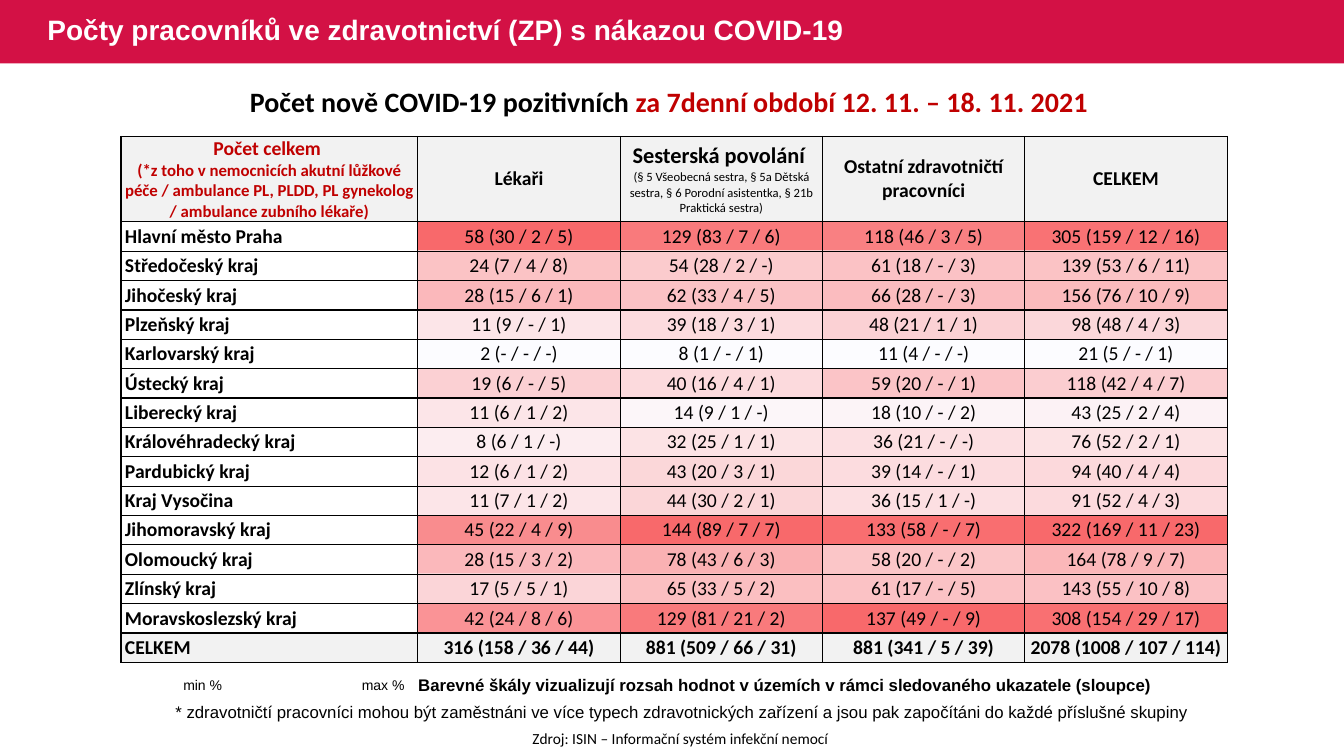
import math

import lxml.etree
import pptx
import pptx.dml.color
import pptx.enum.shapes
import pptx.enum.text
import pptx.oxml.ns
import pptx.util

Cm = pptx.util.Cm
Pt = pptx.util.Pt
RGBColor = pptx.dml.color.RGBColor
ALIGN = pptx.enum.text.PP_ALIGN
MIDDLE = pptx.enum.text.MSO_ANCHOR.MIDDLE
PLAIN_TABLE_STYLE = "{2D5ABB26-0587-4C30-8999-92F81FD0307C}"

CRIMSON = RGBColor(0xD3, 0x11, 0x45)
DARK_RED = RGBColor(0xC0, 0x00, 0x00)
BLACK = RGBColor(0x00, 0x00, 0x00)
WHITE = RGBColor(0xFF, 0xFF, 0xFF)
LIGHT_GREY = RGBColor(0xF2, 0xF2, 0xF2)
SCALE_MIN = RGBColor(0xFC, 0xFC, 0xFF)
SCALE_MAX = RGBColor(0xF8, 0x69, 0x6B)

REGION_WIDTH = 7.48
COUNT_WIDTH = 5.1
HEADER_HEIGHT = 2.13
ROW_HEIGHT = 0.74
TABLE_LEFT = 3.05
TABLE_TOP = 3.44

HEADERS = [
    [("Počet celkem ", 14, True, DARK_RED),
     ("(*z toho v nemocnicích akutní lůžkové péče / ambulance PL, PLDD, PL gynekolog "
      "/ ambulance zubního lékaře)", 12, True, DARK_RED)],
    [("Lékaři", 14, True, BLACK)],
    [("Sesterská povolání ", 16, True, BLACK),
     ("(§ 5 Všeobecná sestra, § 5a Dětská sestra, § 6 Porodní asistentka, "
      "§ 21b Praktická sestra)", 9, False, BLACK)],
    [("Ostatní zdravotničtí pracovníci", 14, True, BLACK)],
    [("CELKEM", 14, True, BLACK)],
]
REGIONS = [
    ("Hlavní město Praha", "58 (30 / 2 / 5)", "129 (83 / 7 / 6)", "118 (46 / 3 / 5)", "305 (159 / 12 / 16)"),
    ("Středočeský kraj", "24 (7 / 4 / 8)", "54 (28 / 2 / -)", "61 (18 / - / 3)", "139 (53 / 6 / 11)"),
    ("Jihočeský kraj", "28 (15 / 6 / 1)", "62 (33 / 4 / 5)", "66 (28 / - / 3)", "156 (76 / 10 / 9)"),
    ("Plzeňský kraj", "11 (9 / - / 1)", "39 (18 / 3 / 1)", "48 (21 / 1 / 1)", "98 (48 / 4 / 3)"),
    ("Karlovarský kraj", "2 (- / - / -)", "8 (1 / - / 1)", "11 (4 / - / -)", "21 (5 / - / 1)"),
    ("Ústecký kraj", "19 (6 / - / 5)", "40 (16 / 4 / 1)", "59 (20 / - / 1)", "118 (42 / 4 / 7)"),
    ("Liberecký kraj", "11 (6 / 1 / 2)", "14 (9 / 1 / -)", "18 (10 / - / 2)", "43 (25 / 2 / 4)"),
    ("Královéhradecký kraj", "8 (6 / 1 / -)", "32 (25 / 1 / 1)", "36 (21 / - / -)", "76 (52 / 2 / 1)"),
    ("Pardubický kraj", "12 (6 / 1 / 2)", "43 (20 / 3 / 1)", "39 (14 / - / 1)", "94 (40 / 4 / 4)"),
    ("Kraj Vysočina", "11 (7 / 1 / 2)", "44 (30 / 2 / 1)", "36 (15 / 1 / -)", "91 (52 / 4 / 3)"),
    ("Jihomoravský kraj", "45 (22 / 4 / 9)", "144 (89 / 7 / 7)", "133 (58 / - / 7)", "322 (169 / 11 / 23)"),
    ("Olomoucký kraj", "28 (15 / 3 / 2)", "78 (43 / 6 / 3)", "58 (20 / - / 2)", "164 (78 / 9 / 7)"),
    ("Zlínský kraj", "17 (5 / 5 / 1)", "65 (33 / 5 / 2)", "61 (17 / - / 5)", "143 (55 / 10 / 8)"),
    ("Moravskoslezský kraj", "42 (24 / 8 / 6)", "129 (81 / 21 / 2)", "137 (49 / - / 9)", "308 (154 / 29 / 17)"),
]
TOTALS = ("CELKEM", "316 (158 / 36 / 44)", "881 (509 / 66 / 31)", "881 (341 / 5 / 39)",
          "2078 (1008 / 107 / 114)")


def add_run(paragraph, text, size, bold=False, color=BLACK, font="Calibri"):
    run = paragraph.add_run()
    run.text = text
    run.font.name = font
    run.font.size = Pt(size)
    run.font.bold = bold
    run.font.color.rgb = color


def add_text_box(slide, left, top, width, height, alignment=ALIGN.LEFT):
    frame = slide.shapes.add_textbox(Cm(left), Cm(top), Cm(width), Cm(height)).text_frame
    frame.word_wrap = True
    paragraph = frame.paragraphs[0]
    paragraph.alignment = alignment
    return frame, paragraph


def add_title(slide, width):
    band = slide.shapes.add_shape(pptx.enum.shapes.MSO_SHAPE.RECTANGLE, 0, 0, width, Cm(1.6))
    band.shadow.inherit = False
    band.fill.solid()
    band.fill.fore_color.rgb = CRIMSON
    band.line.fill.background()
    title = slide.shapes.title
    title._element.addprevious(band._element)
    title.left, title.top, title.width, title.height = Cm(0.94), Cm(0), Cm(21.84), Cm(1.6)
    title.text_frame.vertical_anchor = MIDDLE
    paragraph = title.text_frame.paragraphs[0]
    paragraph.alignment = ALIGN.LEFT
    paragraph.line_spacing = 0.9
    add_run(paragraph, "Počty pracovníků ve zdravotnictví (ZP) s nákazou COVID-19", 20, True, WHITE, "Arial")


def add_plain_table(slide, left, top, widths, heights):
    table = slide.shapes.add_table(len(heights), len(widths), Cm(left), Cm(top),
                                   Cm(sum(widths)), Cm(sum(heights))).table
    table.first_row = table.horz_banding = False
    table._tbl.tblPr.find(pptx.oxml.ns.qn("a:tableStyleId")).text = PLAIN_TABLE_STYLE
    for column, width in zip(table.columns, widths):
        column.width = Cm(width)
    for row, height in zip(table.rows, heights):
        row.height = Cm(height)
    return table


def set_margins(cell, side):
    cell.margin_left = cell.margin_right = Cm(side)
    cell.margin_top = cell.margin_bottom = Cm(0)


def set_fill(cell, color):
    if color is None:
        cell.fill.background()
    else:
        cell.fill.solid()
        cell.fill.fore_color.rgb = color


def set_borders(cell):
    properties = cell._tc.get_or_add_tcPr()
    for side in ("a:lnL", "a:lnR", "a:lnT", "a:lnB"):
        line = lxml.etree.SubElement(properties, pptx.oxml.ns.qn(side), w=str(Pt(1)))
        fill = lxml.etree.SubElement(line, pptx.oxml.ns.qn("a:solidFill"))
        lxml.etree.SubElement(fill, pptx.oxml.ns.qn("a:srgbClr"), val=str(BLACK))


def write_cell(cell, lines, color, alignment, margin):
    set_borders(cell)
    set_fill(cell, color)
    set_margins(cell, margin)
    cell.vertical_anchor = MIDDLE
    frame = cell.text_frame
    for index, line in enumerate(lines):
        paragraph = frame.add_paragraph() if index else frame.paragraphs[0]
        paragraph.alignment = alignment
        add_run(paragraph, *line)


def count(text):
    return int(text.split()[0])


def scale_color(text, column):
    counts = [count(region[column]) for region in REGIONS]
    share = (count(text) - min(counts)) / (max(counts) - min(counts))
    return RGBColor(*(math.ceil(low + (high - low) * share) for low, high in zip(SCALE_MIN, SCALE_MAX)))


def add_color_scale_table(slide):
    table = add_plain_table(slide, TABLE_LEFT + REGION_WIDTH, TABLE_TOP + HEADER_HEIGHT,
                            [COUNT_WIDTH] * 4, [ROW_HEIGHT] * (len(REGIONS) + 1))
    for cell in table.iter_cells():
        set_margins(cell, 0)
        set_fill(cell, None)
        lxml.etree.SubElement(cell.text_frame.paragraphs[0]._p, pptx.oxml.ns.qn("a:endParaRPr"), sz="1000")
    for row, region in enumerate(REGIONS):
        for column, text in enumerate(region[1:], 1):
            set_fill(table.cell(row, column - 1), scale_color(text, column))


def add_region_table(slide):
    rows = REGIONS + [TOTALS]
    table = add_plain_table(slide, TABLE_LEFT, TABLE_TOP, [REGION_WIDTH] + [COUNT_WIDTH] * 4,
                            [HEADER_HEIGHT] + [ROW_HEIGHT] * len(rows))
    for column, lines in enumerate(HEADERS):
        write_cell(table.cell(0, column), lines, LIGHT_GREY, ALIGN.CENTER, 0.1)
    for row, values in enumerate(rows, 1):
        is_total = values is TOTALS
        for column, text in enumerate(values):
            write_cell(table.cell(row, column), [(text, 14, is_total or column == 0)],
                       LIGHT_GREY if is_total else None,
                       ALIGN.CENTER if column else ALIGN.LEFT, 0.03 if column else 0.1)


def add_scale_legend(slide):
    frame, paragraph = add_text_box(slide, 4.42, 17.04, 5.94, 0.43)
    frame.margin_left = Cm(0.2)
    frame.margin_top = frame.margin_right = frame.margin_bottom = Cm(0)
    tabs = lxml.etree.SubElement(paragraph._p.get_or_add_pPr(), pptx.oxml.ns.qn("a:tabLst"))
    lxml.etree.SubElement(tabs, pptx.oxml.ns.qn("a:tab"), pos=str(Cm(4.5)), algn="l")
    add_run(paragraph, "min %\tmax %", 10, font="Arial")


def main():
    presentation = pptx.Presentation()
    presentation.slide_width = Cm(33.87)
    presentation.slide_height = Cm(19.05)
    slide = presentation.slides.add_slide(presentation.slide_layouts[5])

    add_title(slide, presentation.slide_width)
    add_color_scale_table(slide)
    add_region_table(slide)
    _, heading = add_text_box(slide, 1.7, 2.01, 30.48, 1.11, ALIGN.CENTER)
    add_run(heading, "Počet nově COVID-19 pozitivních ", 20, True)
    add_run(heading, "za 7denní období 12. 11. – 18. 11. 2021 ", 20, True, DARK_RED)
    add_scale_legend(slide)
    _, scale_note = add_text_box(slide, 10.29, 16.89, 19.61, 0.77)
    add_run(scale_note, "Barevné škály vizualizují rozsah hodnot v územích v rámci sledovaného ukazatele (sloupce)",
            12, True, font="Arial")
    _, staff_note = add_text_box(slide, 4.17, 17.55, 26.06, 0.77)
    add_run(staff_note, "* zdravotničtí pracovníci mohou být zaměstnáni ve více typech zdravotnických zařízení "
            "a jsou pak započítáni do každé příslušné skupiny", 12, font="Arial")
    _, source_note = add_text_box(slide, 8.31, 18.24, 17.68, 0.73, ALIGN.CENTER)
    add_run(source_note, "Zdroj: ISIN – Informační systém infekční nemocí", 11)

    presentation.save("out.pptx")


if __name__ == "__main__":
    main()
